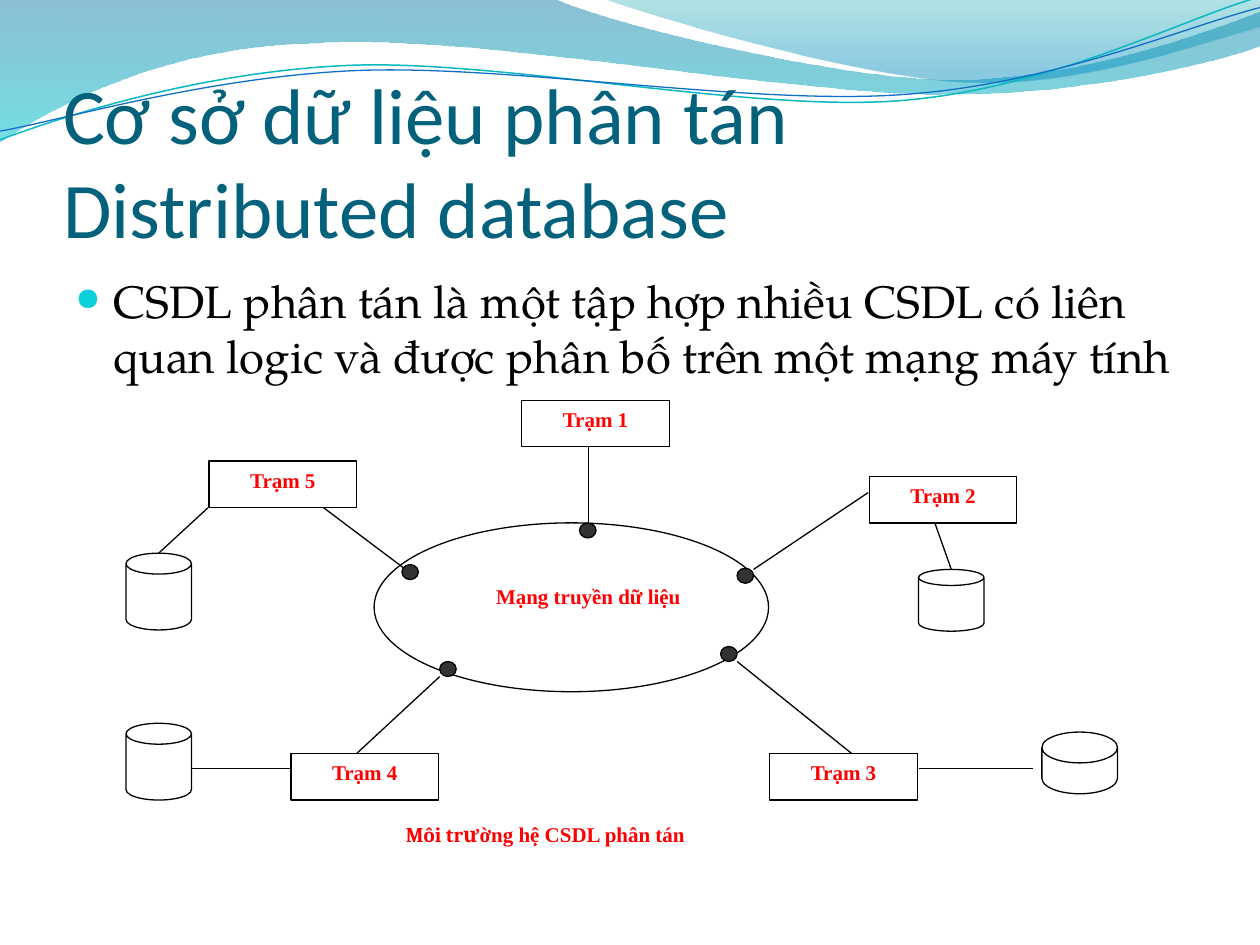
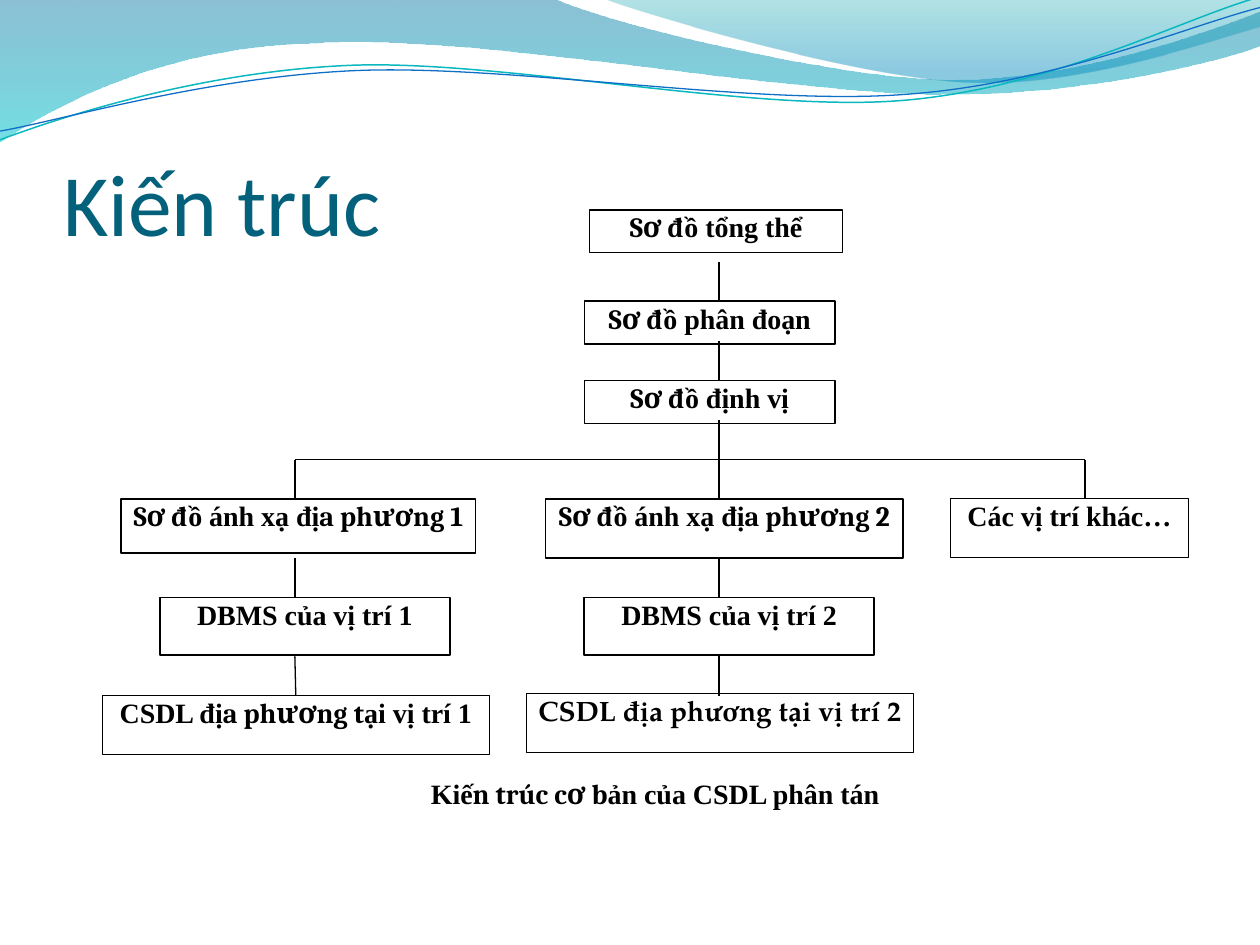
from dataclasses import dataclass

from lxml import etree
from pptx import Presentation
from pptx import util as u
from pptx.dml.color import RGBColor
from pptx.enum import shapes, text
from pptx.oxml import ns


@dataclass(frozen=True)
class Theme:
    title: str = "04617B"
    bullet: str = "0BD0D9"
    ink: str = "000000"
    paper: str = "FFFFFF"
    accent: str = "FF0000"
    dot: str = "333333"
    teal: str = "0AB8BF"
    blue: str = "0F6FC6"
    heading: str = "Calibri"
    body: str = "TeX Gyre Pagella"
    serif: str = "Times New Roman"
    mixed: str = "Cambria"
    long_title_size: int = 45
    title_size: int = 50
    body_size: int = 26
    station_size: int = 12
    schema_size: int = 16
    thin: float = 0.75
    medium: float = 0.95
    thick: float = 1


THEME = Theme()
KIND = shapes.MSO_SHAPE


def color(value):
    return RGBColor.from_string(value)


def points(values):
    return [u.Pt(value) for value in values]


def add_run(paragraph, words, font, size, ink, bold=False):
    run = paragraph.add_run()
    run.text = words
    run.font.name, run.font.size, run.font.bold = font, u.Pt(size), bold
    run.font.color.rgb = color(ink)


def set_frame(frame, insets, anchor=text.MSO_ANCHOR.TOP):
    frame.word_wrap = True
    frame.auto_size = text.MSO_AUTO_SIZE.NONE
    frame.vertical_anchor = anchor
    frame.margin_left, frame.margin_top, frame.margin_right, frame.margin_bottom = points(insets)


def write_centred(frame, runs, size, ink, insets):
    set_frame(frame, insets)
    paragraph = frame.paragraphs[0]
    paragraph.alignment = text.PP_ALIGN.CENTER
    for words, font in runs:
        add_run(paragraph, words, font, size, ink, bold=True)


def set_title(slide, lines, size):
    title = slide.shapes.title
    title.left, title.top, title.width, title.height = points((36, 55.4, 648, 90))
    set_frame(title.text_frame, (0, 3.6, 0, 0), text.MSO_ANCHOR.BOTTOM)
    paragraph = title.text_frame.paragraphs[0]
    paragraph.alignment = text.PP_ALIGN.LEFT
    for index, line in enumerate(lines):
        if index:
            paragraph.add_line_break()
        add_run(paragraph, line, THEME.heading, size, THEME.title)


def add_bullet(slide, place, words):
    statement = slide.shapes.add_textbox(*points(place))
    set_frame(statement.text_frame, (7.2, 3.6, 7.2, 3.6))
    paragraph = statement.text_frame.paragraphs[0]
    paragraph.space_before = u.Pt(5.2)
    add_run(paragraph, words, THEME.body, THEME.body_size, THEME.ink)
    properties = paragraph._p.get_or_add_pPr()
    properties.set("marL", str(u.Pt(21.6)))
    properties.set("indent", str(-u.Pt(21.6)))
    tint = etree.SubElement(properties, ns.qn("a:buClr"))
    etree.SubElement(tint, ns.qn("a:srgbClr"), val=THEME.bullet)
    etree.SubElement(properties, ns.qn("a:buSzPct"), val="70000")
    etree.SubElement(properties, ns.qn("a:buChar"), char="●")


def add_figure(slide, kind, place, fill=None, line=THEME.ink, width=THEME.thin):
    figure = slide.shapes.add_shape(kind, *points(place))
    figure.shadow.inherit = False
    if fill:
        figure.fill.solid()
        figure.fill.fore_color.rgb = color(fill)
    else:
        figure.fill.background()
    figure.line.color.rgb = color(line)
    figure.line.width = u.Pt(width)
    return figure


def add_label(slide, place, runs, line=THEME.ink):
    label = add_figure(slide, KIND.RECTANGLE, place, THEME.paper, line)
    write_centred(label.text_frame, runs, THEME.station_size, THEME.accent, (7.2, 3.6, 7.2, 3.6))


def add_schema(slide, place, runs, width=THEME.thin):
    schema = add_figure(slide, KIND.RECTANGLE, place, width=width)
    write_centred(schema.text_frame, runs, THEME.schema_size, THEME.ink, (0, 0, 0, 0))
    return schema


def add_database(slide, place, rim):
    database = add_figure(slide, KIND.CAN, place, THEME.paper)
    database.adjustments[0] = rim


def add_link(slide, ends, width=THEME.thin, target=None):
    link = slide.shapes.add_connector(shapes.MSO_CONNECTOR.STRAIGHT, *points(ends))
    if target is not None:
        link.end_connect(target, 0)
    link.line.color.rgb = color(THEME.ink)
    link.line.width = u.Pt(width)
    etree.SubElement(link.element.find(ns.qn("p:spPr")), ns.qn("a:effectLst"))


def bend(wave, segments):
    corners = iter(list(wave.element.iter(ns.qn("a:lnTo"))))
    for segment in segments:
        group = [next(corners) for _ in segment]
        if len(group) == 3:
            curve = etree.Element(ns.qn("a:cubicBezTo"))
            group[0].addprevious(curve)
            for corner in group:
                curve.append(corner[0])
                corner.getparent().remove(corner)


def add_wave(slide, start, segments, closed):
    builder = slide.shapes.build_freeform(*points(start))
    builder.add_line_segments([points(vertex) for segment in segments for vertex in segment],
                              close=closed)
    wave = builder.convert_to_shape()
    bend(wave, segments)
    wave.shadow.inherit = False
    return wave


def add_band(slide, start, segments, stops):
    band = add_wave(slide, start, segments, True)
    band.line.fill.background()
    band.fill.gradient()
    band.fill.gradient_angle = 270
    for stop, (position, tint, _) in zip(band.fill.gradient_stops, stops):
        stop.position = position
        stop.color.rgb = color(tint)
    tints = band.element.find(ns.qn("p:spPr")).iter(ns.qn("a:srgbClr"))
    for tint, (_, _, opacity) in zip(tints, stops):
        etree.SubElement(tint, ns.qn("a:alpha"), val=str(opacity * 1000))
    return band


def add_strand(slide, start, segments, tint, width):
    strand = add_wave(slide, start, segments, False)
    strand.fill.background()
    strand.line.color.rgb = color(tint)
    strand.line.width = u.Pt(width)
    return strand


def decorate_layout(layout, slide):
    waves = [
        add_band(slide, (0, 0), [
            [(316.8, -0.7)],
            [(342.7, 12.2), (478.1, 45.4), (545.8, 45.4)],
            [(614.2, 45.4), (689.8, 18.7), (720, 6.5)],
            [(720.7, 25.9)],
            [(707.8, 31.7), (626.4, 54.7), (537.1, 54)],
            [(447.8, 54), (275, 20.2), (185, 24.5)],
            [(92.9, 25.9), (33.1, 59.8), (-0.7, 81.4)],
        ], [(0, "0074A1", 45), (1, "00C6CF", 55)]),
        add_band(slide, (344.9, -0.7), [
            [(366.5, 7.9), (491, 44.6), (553.7, 46.8)],
            [(616.3, 49.7), (691.9, 23), (720, 15.1)],
            [(720, 0)],
        ], [(0, "00A1A9", 30), (0.8, "008BBF", 45)]),
        add_strand(slide, (0, 79.9), [
            [(34.6, 67), (113.8, 41), (199.4, 37.4)],
            [(284.4, 33.8), (427, 64.1), (513.4, 57.6)],
            [(599.8, 51.1), (675.4, 10.8), (718.6, -1.4)],
        ], THEME.teal, 0.85),
        add_strand(slide, (0, 74.9), [
            [(33.8, 69.1), (118.1, 43.9), (203.8, 40.3)],
            [(290.2, 36.7), (429.8, 60.5), (516.2, 54)],
            [(601.9, 48.2), (677.5, 15.1), (720, 4.3)],
        ], THEME.blue, THEME.thin),
    ]
    for wave in waves:
        layout.shapes.element.append(wave.element)


def build_network(slide):
    set_title(slide, ["Cơ sở dữ liệu phân tán", "Distributed database"], THEME.long_title_size)
    add_bullet(slide, (36, 152.6, 648, 345.6),
               "CSDL phân tán là một tập hợp nhiều CSDL có liên quan logic "
               "và được phân bố trên một mạng máy tính")
    add_figure(slide, KIND.OVAL, (213.8, 298.8, 225.4, 96.5), THEME.paper)
    stations = [(298.2, 228.8), (496.8, 272.3), (439.9, 430.6), (166.3, 430.6), (119.5, 263.5)]
    for number, corner in enumerate(stations, 1):
        add_label(slide, (*corner, 84.3, 26.6), [(f"Trạm {number}", THEME.serif)])
    for *place, rim in [(595.4, 418.3, 43.2, 35.3, 0.5), (72, 316.1, 37.4, 43.9, 0.32),
                        (72, 413.3, 37.4, 43.9, 0.32), (524.9, 325.4, 37.4, 35.3, 0.26)]:
        add_database(slide, place, rim)
    add_label(slide, (251.3, 329.8, 169.9, 35.3),
              [("Mạng truyền dữ liệu", THEME.serif)], THEME.paper)
    station_links = [(336.2, 254.9, 336.2, 298.8), (496.1, 281.5, 430.6, 325.4),
                     (421.2, 378, 486.7, 430.6), (203.8, 430.6, 251.3, 386.6),
                     (185, 290.2, 231.8, 325.4)]
    database_links = [(90.7, 316.1, 118.8, 290.2), (109.4, 439.2, 166.3, 439.2),
                      (534.2, 298.8, 543.6, 325.4), (524.9, 439.2, 590.4, 439.2)]
    for ends in station_links + database_links:
        add_link(slide, ends)
    for corner in [(331.2, 298.8), (421.2, 324.7), (411.8, 369.4), (251.3, 378), (229.7, 322.6)]:
        add_figure(slide, KIND.OVAL, (*corner, 9.4, 8.6), THEME.dot)
    add_label(slide, (185, 465.8, 253.4, 26.6),
              [("Môi trư", THEME.mixed), ("ờng hệ CSDL phân tán", THEME.serif)], THEME.paper)


def build_architecture(slide):
    set_title(slide, ["Kiến trúc"], THEME.title_size)
    serif, mixed = THEME.serif, THEME.mixed
    site_gap, first_axis, drop = 242.4, 168.5, 22.5
    global_axis, other_axis, fork = first_axis + site_gap, 620, 262.6
    for left, top, width, ending in [(336.8, 120, 144.7, "ồ tổng thể"),
                                     (333.9, 172.1, 143.3, "ồ phân đoạn"),
                                     (333.9, 217.4, 143.3, "ồ định vị")]:
        add_schema(slide, (left, top, width, 24.5), [("Sơ đ", mixed), (ending, serif)])

    mapping_sizes = [(202.5, 31), (204.5, 33.8)]
    database_tops = [397.6, 396.1]
    database_names = [
        [("CSDL đị", serif), ("a phương t", mixed), ("ại vị trí 1", serif)],
        [("CSDL địa phương tại vị trí 2", THEME.body)],
    ]
    databases = []
    for site in range(2):
        shift = site * site_gap
        add_schema(slide, (69.3 + shift, 285.1, *mapping_sizes[site]),
                   [("Sơ đ", mixed), ("ồ ánh xạ đị", serif), (f"a phương {site + 1}", mixed)],
                   THEME.thick)
        add_schema(slide, (91.4 + shift, 341.4, 165.7, 33.1),
                   [(f"DBMS của vị trí {site + 1}", serif)], THEME.thick)
        databases.append(add_schema(slide, (58.5 + shift, database_tops[site], 221.1, 33.8),
                                    database_names[site]))
    add_schema(slide, (543.1, 285, 136.1, 33.8), [("Các vị trí khác…", serif)])

    for top in (149.8, 195.1, 240):
        add_link(slide, (global_axis, top, global_axis, top + drop), THEME.medium)
    for axis, target in ((first_axis, databases[0]), (global_axis, None)):
        for top in (fork, 319):
            add_link(slide, (axis, top, axis, top + drop), THEME.medium)
        add_link(slide, (axis, 375.1, axis, 375.1 + drop), target=target)
    add_link(slide, (other_axis, fork, other_axis, fork + drop))
    add_link(slide, (first_axis, fork, other_axis, fork))

    caption = slide.shapes.add_textbox(*points((178.6, 442.8, 387.4, 22.3)))
    write_centred(caption.text_frame,
                  [(" Kiế", serif), ("n trúc cơ b", mixed), ("ản của CSDL phân tán", serif)],
                  THEME.schema_size, THEME.ink, (0.7, 0.7, 0.7, 0.7))


def main():
    deck = Presentation()
    deck.slide_width, deck.slide_height = points((720, 540))
    layout = deck.slide_layouts[5]
    network = deck.slides.add_slide(layout)
    decorate_layout(layout, network)
    build_network(network)
    build_architecture(deck.slides.add_slide(layout))
    deck.save("out.pptx")


if __name__ == "__main__":
    main()
